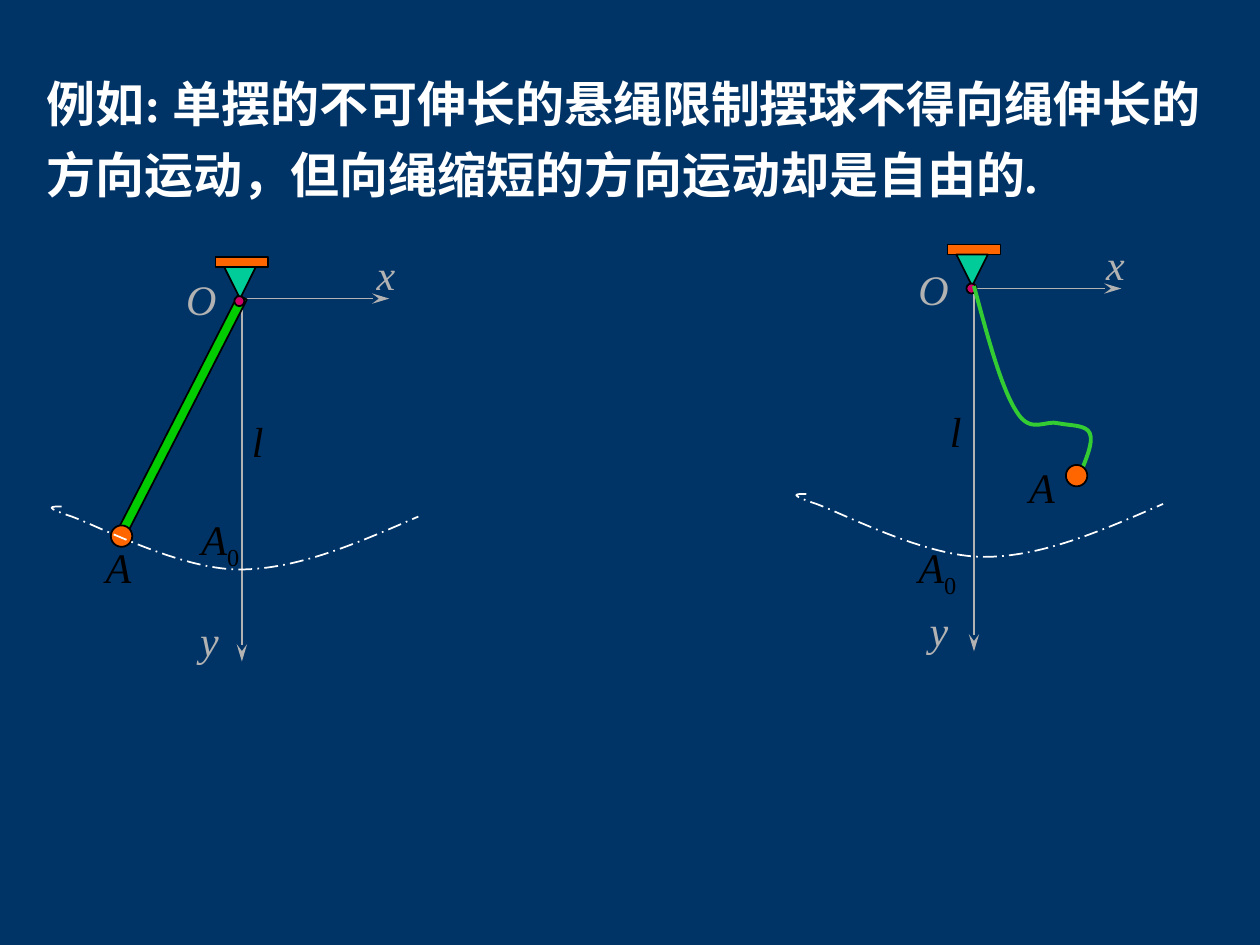
import pptx
import pptx.dml.color
import pptx.enum.dml
import pptx.enum.shapes
import pptx.enum.text
import pptx.oxml
import pptx.oxml.ns
import pptx.util
from dataclasses import dataclass

Inches = pptx.util.Inches
Pt = pptx.util.Pt
SHAPES = pptx.enum.shapes.MSO_SHAPE
NAMESPACE = pptx.oxml.ns.nsdecls("a")


@dataclass(frozen=True)
class Theme:
    font: str = "Times New Roman"
    title_size: int = 28
    label_size: int = 24
    background: str = "003366"
    white: str = "FFFFFF"
    black: str = "000000"
    axis: str = "B2B2B2"
    orange: str = "FF6600"
    bracket: str = "00CC99"
    pivot: str = "CC0066"
    rod: str = "00CC00"
    rope: str = "33CC33"

    def color(self, name):
        return pptx.dml.color.RGBColor.from_string(getattr(self, name))


theme = Theme()
presentation = pptx.Presentation()
presentation.slide_width = Inches(10)
presentation.slide_height = Inches(7.5)
slide = presentation.slides.add_slide(presentation.slide_layouts[6])
slide.background.fill.solid()
slide.background.fill.fore_color.rgb = theme.color("background")


def add_text(shapes, box, runs, color, size, wrap=False, bold=False):
    """Add a text box; runs are (text, italic, baseline) triples."""
    shape = shapes.add_textbox(*map(Inches, box))
    frame = shape.text_frame
    frame.word_wrap = wrap
    frame.auto_size = pptx.enum.text.MSO_AUTO_SIZE.SHAPE_TO_FIT_TEXT
    for text, italic, baseline in runs:
        run = frame.paragraphs[0].add_run()
        run.text = text
        run.font.name = theme.font
        run.font.size = Pt(size)
        run.font.bold = bold
        run.font.italic = italic
        run.font.color.rgb = theme.color(color)
        if baseline:
            run.font._element.set("baseline", str(baseline))
    return shape


def add_curve(shapes, points, color, width):
    """Draw joined cubic curves: a start point, then three points per curve."""
    corners = [tuple(map(Inches, point)) for point in points]
    builder = shapes.build_freeform(*corners[0])
    builder.add_line_segments(corners[1:], close=False)
    shape = builder.convert_to_shape()
    # Turn every three straight segments into one cubic curve
    segments = list(shape._element.iter(pptx.oxml.ns.qn("a:lnTo")))
    for first in range(0, len(segments), 3):
        curve = pptx.oxml.parse_xml(f"<a:cubicBezTo {NAMESPACE}/>")
        segments[first].addprevious(curve)
        for segment in segments[first:first + 3]:
            curve.append(segment[0])
            segment.getparent().remove(segment)
    shape.shadow.inherit = False
    shape.fill.background()
    shape.line.color.rgb = theme.color(color)
    shape.line.width = Pt(width)
    return shape


# Statement
title = add_text(
    slide.shapes, (0.27, 0.44, 9.73, 1.22),
    [("例如: 单摆的不可伸长的悬绳限制摆球不得向绳伸长的方向运动，但向绳缩短的方向运动却是自由的.", False, 0)],
    "white", theme.title_size, wrap=True, bold=True)
title.text_frame.paragraphs[0].line_spacing = 1.2

# Two pendulums: slack rope on the right, taut rod on the left
pendulums = [
    {"origin": (7.73, 2.29), "support": (7.52, 1.94), "ball": (8.46, 3.69), "arc": (6.4, 3.92),
     "rope": [(7.73, 2.27), (7.84, 2.68), (7.95, 3.09), (8.07, 3.27),
              (8.18, 3.45), (8.3, 3.33), (8.4, 3.36),
              (8.5, 3.38), (8.62, 3.37), (8.65, 3.44),
              (8.68, 3.51), (8.62, 3.64), (8.57, 3.77)],
     "y": (7.28, 4.75), "x": (8.68, 1.84), "O": (7.19, 2.04),
     "A": (8.07, 3.61), "A0": (7.19, 4.25), "A0 width": 0.58, "l": (7.44, 3.17)},
    {"origin": (1.92, 2.37), "support": (1.71, 2.04), "ball": (0.88, 4.17), "arc": (0.49, 4.02),
     "rod": (1.39, 2.24, 0.08, 2.17),
     "y": (1.49, 4.83), "x": (2.89, 1.92), "O": (1.38, 2.12),
     "A": (0.74, 4.25), "A0": (1.5, 4.03), "A0 width": 0.52, "l": (1.9, 3.25)},
]
arc_offsets = [(0, 0), (-0.08, 0), (-0.16, 0), (0.08, 0.08), (0.32, 0.17),
               (0.95, 0.5), (1.41, 0.5), (1.87, 0.5), (2.35, 0.29), (2.83, 0.08)]

for pendulum in pendulums:
    x, y = pendulum["origin"]
    left, top = pendulum["support"]

    # Axes
    axes = slide.shapes.add_group_shape().shapes
    for start, end in (((x, y + 0.02), (x, y + 2.88)), ((x, y), (x + 1.17, y))):
        connector = axes.add_connector(
            pptx.enum.shapes.MSO_CONNECTOR.STRAIGHT, *map(Inches, start + end))
        connector.line.color.rgb = theme.color("axis")
        connector.line.width = Pt(1)
        connector.line._get_or_add_ln().append(pptx.oxml.parse_xml(
            f'<a:tailEnd {NAMESPACE} type="stealth" w="med" len="lg"/>'))
        connector._element.spPr.append(pptx.oxml.parse_xml(f"<a:effectLst {NAMESPACE}/>"))
    for name, width in (("y", 0.35), ("x", 0.35), ("O", 0.44)):
        add_text(axes, pendulum[name] + (width, 0.5), [(name, True, 0)],
                 "axis", theme.label_size)

    # Rod, support, pivot, rope and ball, from back to front
    body = slide.shapes.add_group_shape().shapes
    parts = [
        (SHAPES.RECTANGLE, (left, top, 0.42, 0.08), "orange", 0),
        (SHAPES.ISOSCELES_TRIANGLE, (left + 0.07, top + 0.08, 0.25, 0.25), "bracket", 180),
        (SHAPES.OVAL, (left + 0.15, top + 0.31, 0.08, 0.08), "pivot", 0),
        (SHAPES.OVAL, pendulum["ball"] + (0.17, 0.17), "orange", 0),
    ]
    if "rod" in pendulum:
        parts.insert(0, (SHAPES.RECTANGLE, pendulum["rod"], "rod", 27.1))
    for kind, box, fill, rotation in parts:
        if "rope" in pendulum and box[:2] == pendulum["ball"]:
            add_curve(body, pendulum["rope"], "rope", 2.25)
        shape = body.add_shape(kind, *map(Inches, box))
        shape.shadow.inherit = False
        shape.rotation = rotation
        shape.fill.solid()
        shape.fill.fore_color.rgb = theme.color(fill)
        shape.line.color.rgb = theme.color("black")
        shape.line.width = Pt(1)
    add_text(body, pendulum["A"] + (0.4, 0.5), [("A", True, 0)], "black", theme.label_size)

    # Swing arc with its rest position and the length
    swing = slide.shapes.add_group_shape().shapes
    arc_x, arc_y = pendulum["arc"]
    arc = add_curve(swing, [(arc_x + dx, arc_y + dy) for dx, dy in arc_offsets], "white", 1)
    arc.line.dash_style = pptx.enum.dml.MSO_LINE.LONG_DASH_DOT
    add_text(swing, pendulum["A0"] + (pendulum["A0 width"], 0.5),
             [("A", True, 0), ("0", False, -25000)], "black", theme.label_size, wrap=True)
    add_text(swing, pendulum["l"] + (0.29, 0.5), [("l", True, 0)], "black", theme.label_size)

presentation.save("out.pptx")
